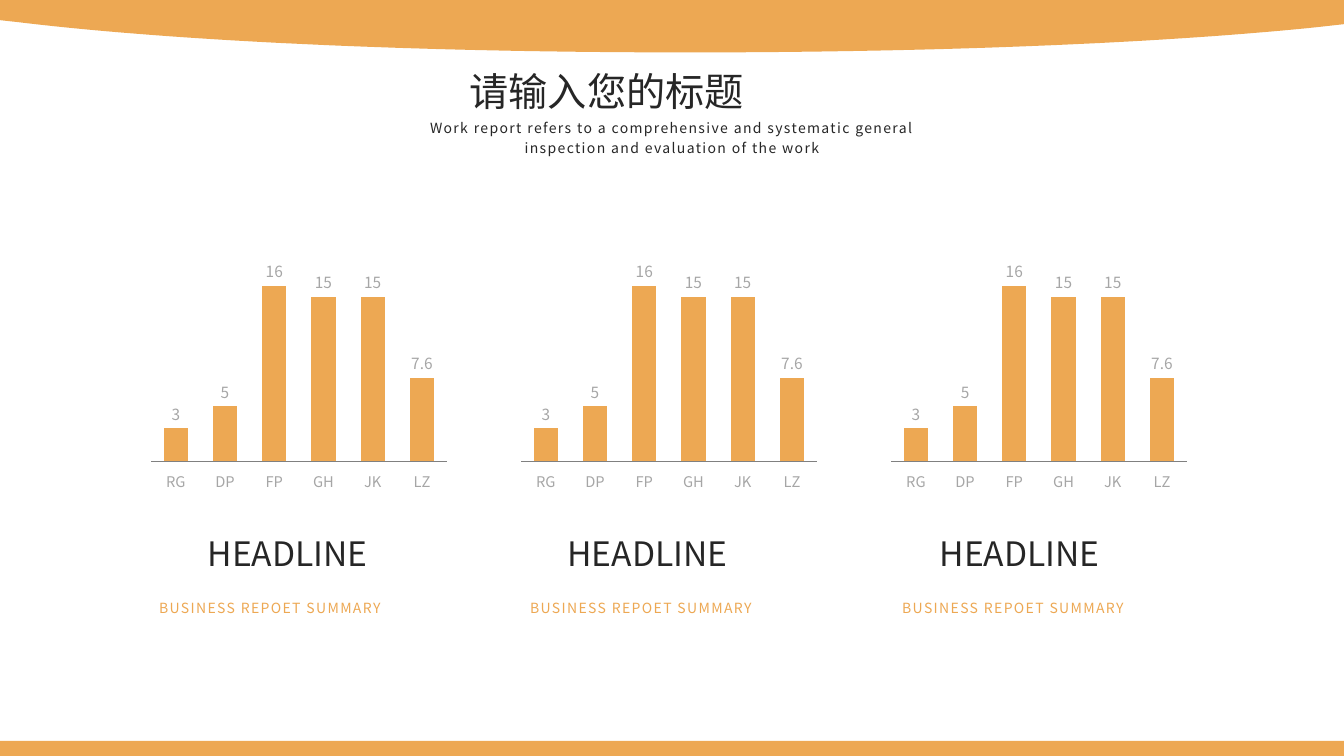
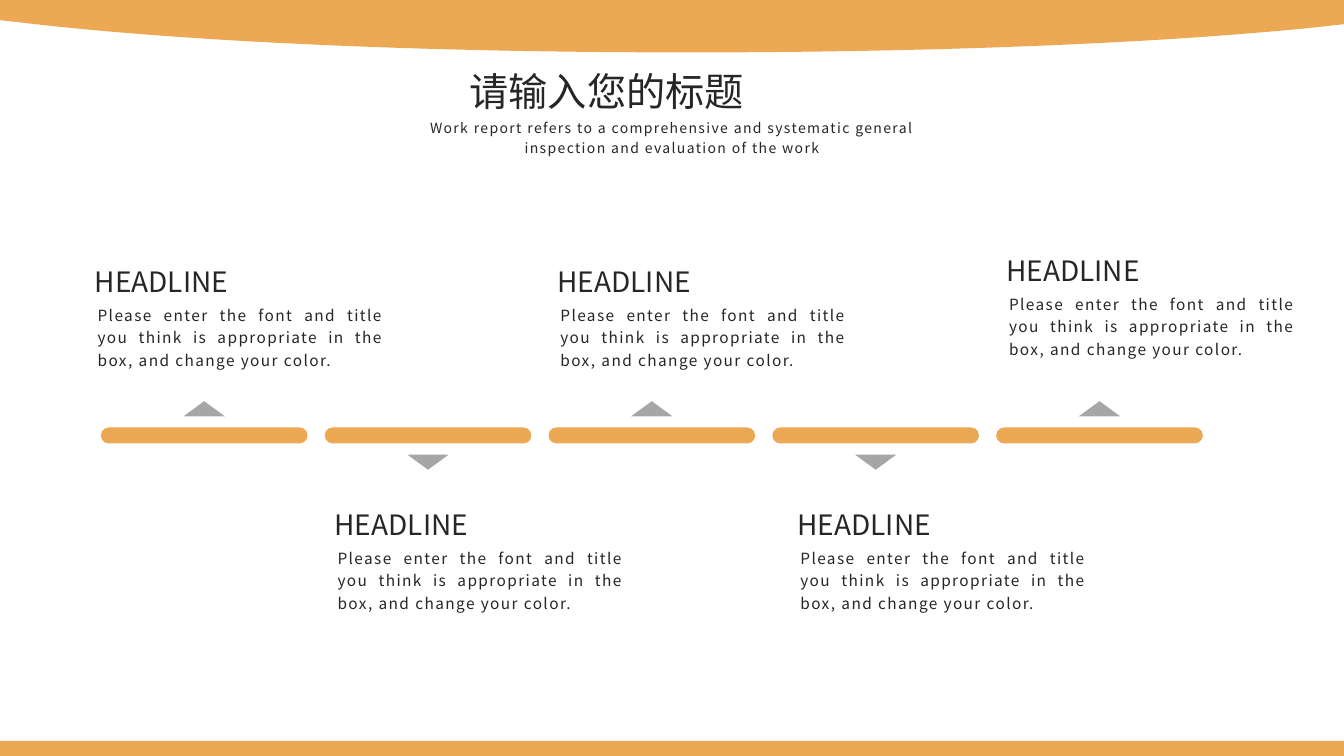
from lxml import etree
from pptx import Presentation
from pptx.chart.data import CategoryChartData
from pptx.dml.color import RGBColor
from pptx.enum.chart import XL_CHART_TYPE, XL_LABEL_POSITION, XL_TICK_LABEL_POSITION, XL_TICK_MARK
from pptx.enum.shapes import MSO_SHAPE
from pptx.enum.text import MSO_AUTO_SIZE, PP_ALIGN
from pptx.oxml.ns import qn
from pptx.util import Inches, Pt

RECTANGLE = MSO_SHAPE.RECTANGLE
ROUNDED = MSO_SHAPE.ROUNDED_RECTANGLE
TRIANGLE = MSO_SHAPE.ISOSCELES_TRIANGLE
COLUMNS = XL_CHART_TYPE.COLUMN_CLUSTERED
OUTSIDE_END = XL_LABEL_POSITION.OUTSIDE_END
LABELS_LOW = XL_TICK_LABEL_POSITION.LOW
NO_TICK = XL_TICK_MARK.NONE
GROW = MSO_AUTO_SIZE.SHAPE_TO_FIT_TEXT
CENTER, JUSTIFY = PP_ALIGN.CENTER, PP_ALIGN.JUSTIFY

FONT = "Noto Sans CJK SC"
ORANGE, GRAY, AXIS_GRAY, DARK, BLACK = "EDA853", "A6A6A6", "808080", "262626", "000000"
SLIDE_WIDTH, SLIDE_HEIGHT = 13.33, 7.5
BAND_HEIGHT = 0.15

# Text styles
TITLE = {"size": 28, "color": DARK, "align": JUSTIFY}
SUBTITLE = {"size": 10, "color": DARK, "align": CENTER, "leading": 14, "spacing": 1}
CHART_HEADLINE = {"size": 24, "color": DARK, "align": JUSTIFY}
CHART_CAPTION = {"size": 10, "color": ORANGE, "align": JUSTIFY, "leading": 14, "spacing": 1}
ENTRY_HEADLINE = {"size": 20, "color": DARK, "align": JUSTIFY}
ENTRY_BODY = {"size": 11, "color": DARK, "align": JUSTIFY, "leading": 16, "spacing": 1}

# Content
TITLE_TEXT = "请输入您的标题"
SUBTITLE_TEXT = ("Work report refers to a comprehensive and systematic general "
                 "inspection and evaluation of the work")
HEADLINE_TEXT = "HEADLINE"
CAPTION_TEXT = "BUSINESS REPOET SUMMARY"
BODY_TEXT = ("Please enter the font and title you think is appropriate in the box, "
             "and change your color.")
CATEGORIES = ["RG", "DP", "FP", "GH", "JK", "LZ"]
VALUES = [3, 5, 16, 15, 15, 7.6]


def rgb(color):
    return RGBColor.from_string(color)


def paint(shape, color):
    shape.shadow.inherit = False
    shape.fill.solid()
    shape.fill.fore_color.rgb = rgb(color)
    shape.line.fill.background()
    return shape


def add_block(slide, kind, box, color):
    return paint(slide.shapes.add_shape(kind, *map(Inches, box)), color)


def set_font(font, size, color):
    for name, value in {"name": FONT, "size": Pt(size)}.items():
        setattr(font, name, value)
    font.color.rgb = rgb(color)


def add_text(slide, box, text, style):
    frame = slide.shapes.add_textbox(*map(Inches, box)).text_frame
    frame.word_wrap = True
    frame.auto_size = GROW
    paragraph = frame.paragraphs[0]
    paragraph.alignment = style["align"]
    if "leading" in style:
        paragraph.line_spacing = Pt(style["leading"])
    run = paragraph.add_run()
    run.text = text
    set_font(run.font, style["size"], style["color"])
    properties = run._r.get_or_add_rPr()
    etree.SubElement(properties, qn("a:ea")).set("typeface", FONT)
    if "spacing" in style:
        properties.set("spc", str(style["spacing"] * 100))


def bezier(start, control_1, control_2, end, steps=40):
    """Points along a cubic curve, without its start."""
    points = []
    for step in range(1, steps + 1):
        t = step / steps
        weights = ((1 - t) ** 3, 3 * t * (1 - t) ** 2, 3 * t ** 2 * (1 - t), t ** 3)
        corners = list(zip(start, control_1, control_2, end))
        points.append(tuple(sum(w * c for w, c in zip(weights, axis)) for axis in corners))
    return points


def add_top_arc(slide):
    bottom = (6.83, 0.52)
    outline = bezier(bottom, (9.28, 0.52), (11.5, 0.43), (13.06, 0.27))
    outline += [(SLIDE_WIDTH, 0.24), (SLIDE_WIDTH, 0), (0, 0), (0, 0.2), (0.18, 0.22)]
    outline += bezier((0.18, 0.22), (1.76, 0.41), (4.15, 0.52), bottom)
    builder = slide.shapes.build_freeform(*map(Inches, bottom))
    builder.add_line_segments([(Inches(x), Inches(y)) for x, y in outline], close=True)
    paint(builder.convert_to_shape(), ORANGE)


def add_base_slide(presentation):
    """Blank slide with the bands, title and subtitle."""
    slide = presentation.slides.add_slide(presentation.slide_layouts[6])
    add_top_arc(slide)
    add_block(slide, RECTANGLE, (0, SLIDE_HEIGHT - BAND_HEIGHT, SLIDE_WIDTH, BAND_HEIGHT), ORANGE)
    add_text(slide, (4.56, 0.62, 4.21, 0.57), TITLE_TEXT, TITLE)
    add_text(slide, (3.74, 1.11, 5.85, 0.47), SUBTITLE_TEXT, SUBTITLE)
    return slide


def add_column_chart(slide, box):
    data = CategoryChartData()
    data.categories = CATEGORIES
    data.add_series("Series 1", VALUES)
    chart = slide.shapes.add_chart(COLUMNS, *map(Inches, box), data).chart
    chart.has_legend = False
    chart.has_title = False
    set_font(chart.font, 10, BLACK)

    # Axes
    chart.value_axis.visible = False
    chart.value_axis.has_major_gridlines = False
    axis = chart.category_axis
    for name, value in {"major_tick_mark": NO_TICK, "minor_tick_mark": NO_TICK,
                        "tick_label_position": LABELS_LOW}.items():
        setattr(axis, name, value)
    set_font(axis.tick_labels.font, 10.5, GRAY)
    axis.format.line.color.rgb = rgb(AXIS_GRAY)
    axis.format.line.width = Pt(0.75)

    # Columns and their labels
    plot = chart.plots[0]
    for name, value in {"gap_width": 104, "overlap": -27, "vary_by_categories": False}.items():
        setattr(plot, name, value)
    series = plot.series[0]
    series.format.fill.solid()
    series.format.fill.fore_color.rgb = rgb(ORANGE)
    labels = series.data_labels
    labels.show_value = True
    labels.position = OUTSIDE_END
    set_font(labels.font, 11, GRAY)


def add_chart_panel(slide, left, top, headline_offset, caption_offset):
    add_column_chart(slide, (left, top, 3.05, 2.36))
    add_text(slide, (left + headline_offset, top + 2.67, 2.21, 0.5), HEADLINE_TEXT, CHART_HEADLINE)
    add_text(slide, (left + caption_offset, top + 3.3, 3.01, 0.28), CAPTION_TEXT, CHART_CAPTION)


def add_entry(slide, left, top):
    add_text(slide, (left + 0.03, top + 0.37, 3.03, 0.75), BODY_TEXT, ENTRY_BODY)
    add_text(slide, (left, top, 2.21, 0.44), HEADLINE_TEXT, ENTRY_HEADLINE)


def add_timeline_step(slide, left, top, points_up):
    width, height, arrow_width, arrow_height = 2.05, 0.16, 0.41, 0.15
    bar = add_block(slide, ROUNDED, (left, top, width, height), ORANGE)
    bar.adjustments[0] = 0.5
    arrow_top = top - 0.26 if points_up else top + 0.27
    arrow_left = left + (width - arrow_width) / 2
    arrow = add_block(slide, TRIANGLE, (arrow_left, arrow_top, arrow_width, arrow_height), GRAY)
    if not points_up:
        arrow.rotation = 180


def build_chart_slide(presentation):
    slide = add_base_slide(presentation)
    offsets = [(0.52, 0.04), (0.42, 0.05), (0.44, 0.07)]
    for index, (headline_offset, caption_offset) in enumerate(offsets):
        add_chart_panel(slide, 1.44 + 3.67 * index, 2.57, headline_offset, caption_offset)


def build_timeline_slide(presentation):
    slide = add_base_slide(presentation)
    entries = [(0.84, 2.58), (3.22, 4.99), (5.43, 2.58), (7.81, 4.99), (9.88, 2.47)]
    for index, (left, top) in enumerate(entries):
        add_timeline_step(slide, 1 + 2.22 * index, 4.24, points_up=index % 2 == 0)
        add_entry(slide, left, top)


def main():
    presentation = Presentation()
    presentation.slide_width = Inches(SLIDE_WIDTH)
    presentation.slide_height = Inches(SLIDE_HEIGHT)
    build_chart_slide(presentation)
    build_timeline_slide(presentation)
    presentation.save("out.pptx")


if __name__ == "__main__":
    main()
